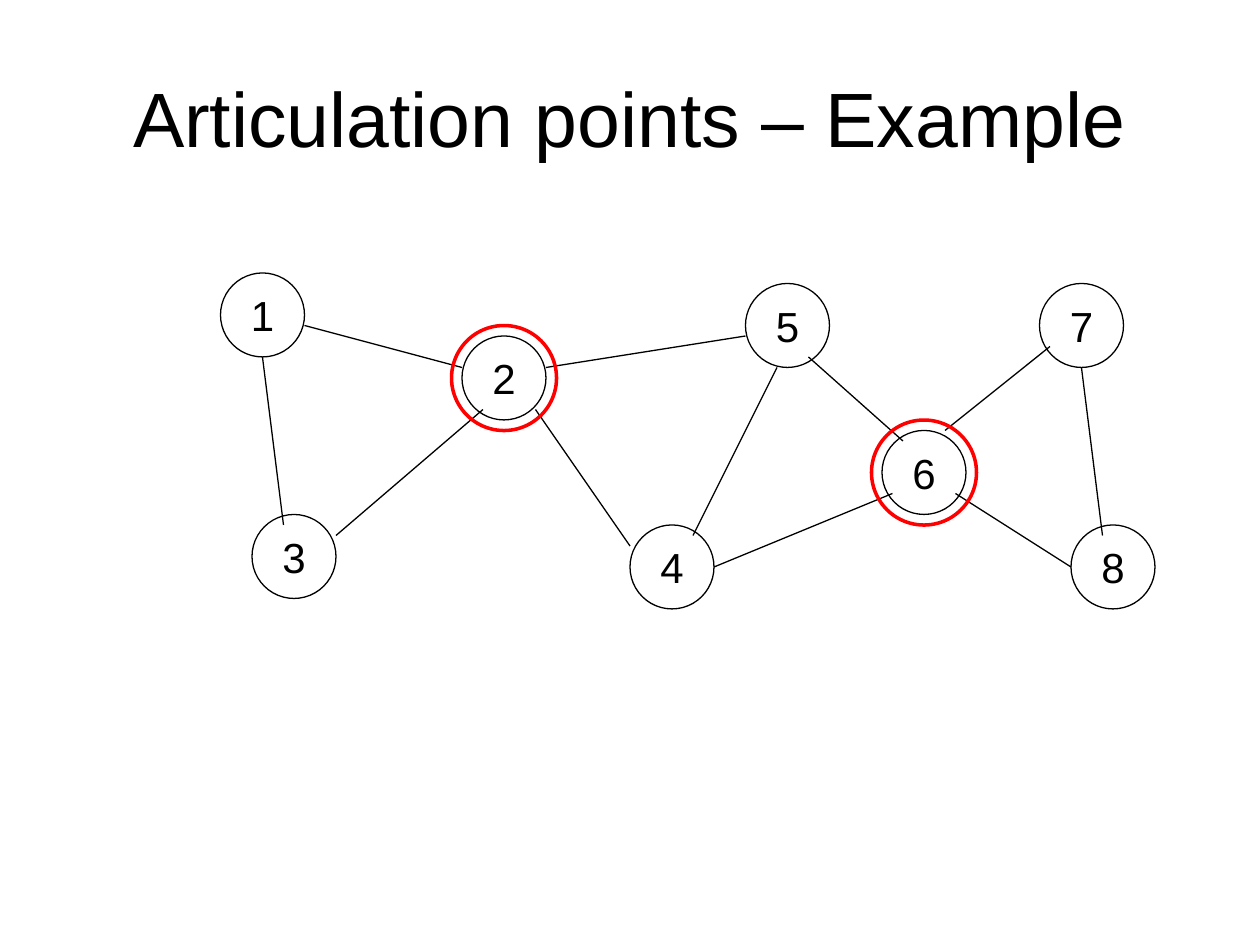
import pptx
import pptx.dml.color
import pptx.enum.shapes
import pptx.enum.text
import pptx.oxml
import pptx.util

Pt = pptx.util.Pt
BLACK = pptx.dml.color.RGBColor(0, 0, 0)
RED = pptx.dml.color.RGBColor(255, 0, 0)
WHITE = pptx.dml.color.RGBColor(255, 255, 255)

# Graph positions are counted in grid steps from the graph's top left corner
STEP = 6
NODE_SIZE = 8
RING_GAP = 1
NODES = {
    "1": (0, 0), "2": (23, 6), "3": (3, 23), "4": (39, 24),
    "5": (50, 1), "6": (63, 15), "7": (78, 1), "8": (81, 24),
}
EDGES = {
    ("1", "3"): ((4, 8), (6, 24)),
    ("1", "2"): ((8, 5), (23, 9)),
    ("3", "2"): ((11, 25), (25, 13)),
    ("2", "5"): ((31, 9), (50, 6)),
    ("2", "4"): ((30, 13), (39, 26)),
    ("5", "6"): ((56, 8), (65, 16)),
    ("5", "4"): ((53, 9), (45, 25)),
    ("4", "6"): ((47, 28), (64, 21)),
    ("7", "8"): ((82, 9), (84, 25)),
    ("6", "7"): ((69, 15), (79, 7)),
    ("6", "8"): ((70, 21), (81, 28)),
}
ARTICULATION_POINTS = ("2", "6")


def write_centred(shape, text, size):
    frame = shape.text_frame
    frame.vertical_anchor = pptx.enum.text.MSO_ANCHOR.MIDDLE
    para = frame.paragraphs[0]
    para.alignment = pptx.enum.text.PP_ALIGN.CENTER
    span = para.add_run()
    span.text = text
    span.font.name = "Arial"
    span.font.size = Pt(size)
    span.font.color.rgb = BLACK


def add_title(page, left, top, width, height):
    box = page.shapes.add_textbox(Pt(left), Pt(top), Pt(width), Pt(height))
    box.text_frame.word_wrap = True
    write_centred(box, "Articulation points – Example", 44)


def add_circle(page, left, top, size, color, weight):
    circle = page.shapes.add_shape(
        pptx.enum.shapes.MSO_SHAPE.OVAL, Pt(left), Pt(top), Pt(size), Pt(size))
    circle.shadow.inherit = False
    circle.fill.background()
    circle.line.color.rgb = color
    circle.line.width = Pt(weight)
    return circle


def add_edge(page, x1, y1, x2, y2):
    edge = page.shapes.add_connector(
        pptx.enum.shapes.MSO_CONNECTOR.STRAIGHT, Pt(x1), Pt(y1), Pt(x2), Pt(y2))
    edge.line.color.rgb = BLACK
    edge.line.width = Pt(0.75)
    properties = edge._element.spPr
    properties.append(pptx.oxml.parse_xml(
        '<a:effectLst xmlns:a="http://schemas.openxmlformats.org/drawingml/2006/main"/>'))


def add_graph(page, left, top):
    def place(point):
        return left + point[0] * STEP, top + point[1] * STEP

    # Numbered nodes
    for label, corner in NODES.items():
        node = add_circle(page, *place(corner), NODE_SIZE * STEP, BLACK, 0.75)
        node.text_frame.word_wrap = False
        write_centred(node, label, 24)

    # Edges between nodes
    for start, end in EDGES.values():
        add_edge(page, *place(start), *place(end))

    # Red rings around the articulation points
    for label in ARTICULATION_POINTS:
        x, y = NODES[label]
        add_circle(page, *place((x - RING_GAP, y - RING_GAP)),
                   (NODE_SIZE + 2 * RING_GAP) * STEP, RED, 2)


def main():
    deck = pptx.Presentation()
    deck.slide_width = Pt(720)
    deck.slide_height = Pt(540)
    page = deck.slides.add_slide(deck.slide_layouts[6])
    page.background.fill.solid()
    page.background.fill.fore_color.rgb = WHITE
    add_title(page, 36, 21.6, 648, 90)
    add_graph(page, 126, 156)
    deck.save("out.pptx")


if __name__ == "__main__":
    main()
